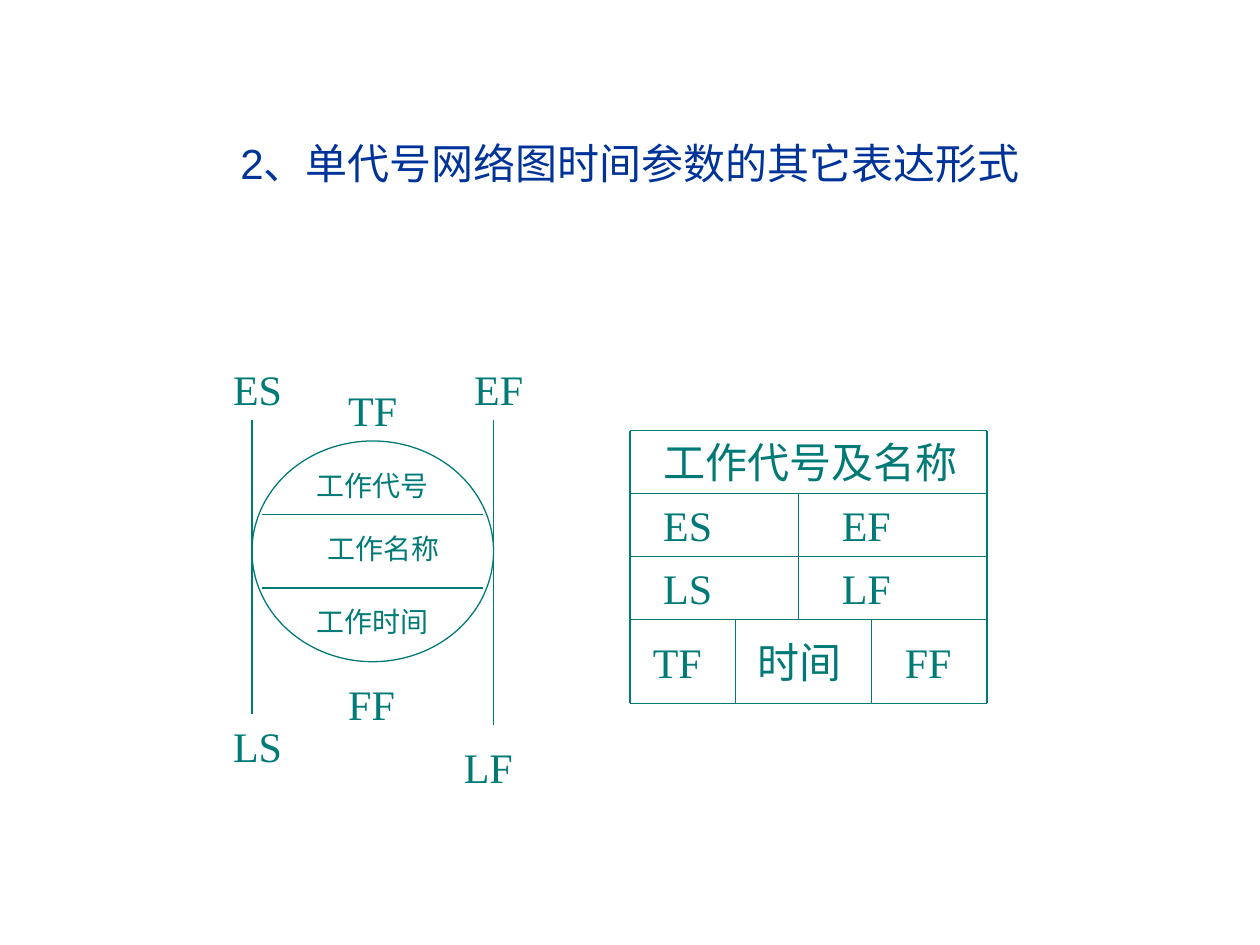
from lxml import etree
from pptx import Presentation
from pptx.dml.color import RGBColor
from pptx.enum.shapes import MSO_CONNECTOR, MSO_SHAPE
from pptx.enum.text import MSO_ANCHOR, PP_ALIGN
from pptx.oxml.ns import qn
from pptx.util import Cm, Pt

LINE = MSO_CONNECTOR.STRAIGHT
OVAL = MSO_SHAPE.OVAL
MID, TOP = MSO_ANCHOR.MIDDLE, MSO_ANCHOR.TOP
LEFT, CENTER = PP_ALIGN.LEFT, PP_ALIGN.CENTER
COLORS = {"title": "003399", "ink": "007A77"}
SERIF = "Times New Roman"
WIDTH = Pt(0.75)


def color(name):
    return RGBColor.from_string(COLORS[name])


def label(slide, text, box, size=24, font=SERIF, tint="ink", align=LEFT, anchor=TOP):
    frame = slide.shapes.add_textbox(*map(Cm, box)).text_frame
    frame.word_wrap = True
    frame.vertical_anchor = anchor
    para = frame.paragraphs[0]
    para.alignment = align
    run = para.add_run()
    run.text = text
    run.font.size = Pt(size)
    run.font.name = font
    run.font.color.rgb = color(tint)


def rule(slide, x1, y1, x2, y2):
    line = slide.shapes.add_connector(LINE, *map(Cm, (x1, y1, x2, y2)))
    line.line.color.rgb = color("ink")
    line.line.width = WIDTH
    etree.SubElement(line._element.spPr, qn("a:effectLst"))


def title(slide, box):
    label(slide, "2、单代号网络图时间参数的其它表达形式", box, anchor=MID,
          font="Arial", tint="title", align=CENTER)


def node(slide, box):
    x, y, w, h = box
    oval = slide.shapes.add_shape(OVAL, *map(Cm, box))
    oval.shadow.inherit = False
    oval.fill.background()
    oval.line.color.rgb = color("ink")
    oval.line.width = WIDTH
    for dx, end in ((0, 5.5), (w, 5.72)):
        rule(slide, x + dx, y - 0.42, x + dx, y + end)
    for part in (1, 2):
        dy = h * part / 3
        rule(slide, x + 0.21, y + dy, x + w - 0.21, y + dy)
    for text, dx, dy in (("工作代号", 1.06, 0.43), ("工作名称", 1.27, 1.7),
                         ("工作时间", 1.06, 3.18)):
        label(slide, text, (x + dx, y + dy, 2.96, 0.94), size=16)
    for text, dx, dy in (("ES", -0.63, -1.69), ("EF", 4.23, -1.69),
                         ("TF", 1.69, -1.27), ("FF", 1.69, 4.66),
                         ("LS", -0.63, 5.5), ("LF", 4.02, 5.93)):
        label(slide, text, (x + dx, y + dy, 1.69, 1.27))


def grid(slide, box):
    x, y, w, h = box
    row = 1.27
    for dy in (0, row, 2 * row, 3 * row, h):
        rule(slide, x, y + dy, x + w, y + dy)
    for dx, top, end in ((0, 0, h), (w, 0, h), (3.39, row, 3 * row),
                         (2.12, 3 * row, h), (4.87, 3 * row, h)):
        rule(slide, x + dx, y + top, x + dx, y + end)
    for text, dx, dy, wide in (
        ("工作代号及名称", 0.42, 0, 6.56),
        ("ES", 0.42, row, 1.69), ("EF", 4.02, row, 1.69),
        ("LS", 0.42, 2 * row, 1.69), ("LF", 4.02, 2 * row, 1.69),
        ("TF", 0.21, 4.02, 1.69), ("时间", 2.33, 4.02, 2.75),
        ("FF", 5.29, 4.02, 1.69),
    ):
        label(slide, text, (x + dx, y + dy, wide, row))


def main():
    deck = Presentation()
    deck.slide_width, deck.slide_height = Cm(25.4), Cm(19.05)
    slide = deck.slides.add_slide(deck.slide_layouts[6])
    title(slide, (0.84, 1.7, 23.72, 3.18))
    node(slide, (5.08, 8.89, 4.87, 4.45))
    grid(slide, (12.7, 8.68, 7.2, 5.5))
    deck.save("out.pptx")


if __name__ == "__main__":
    main()
